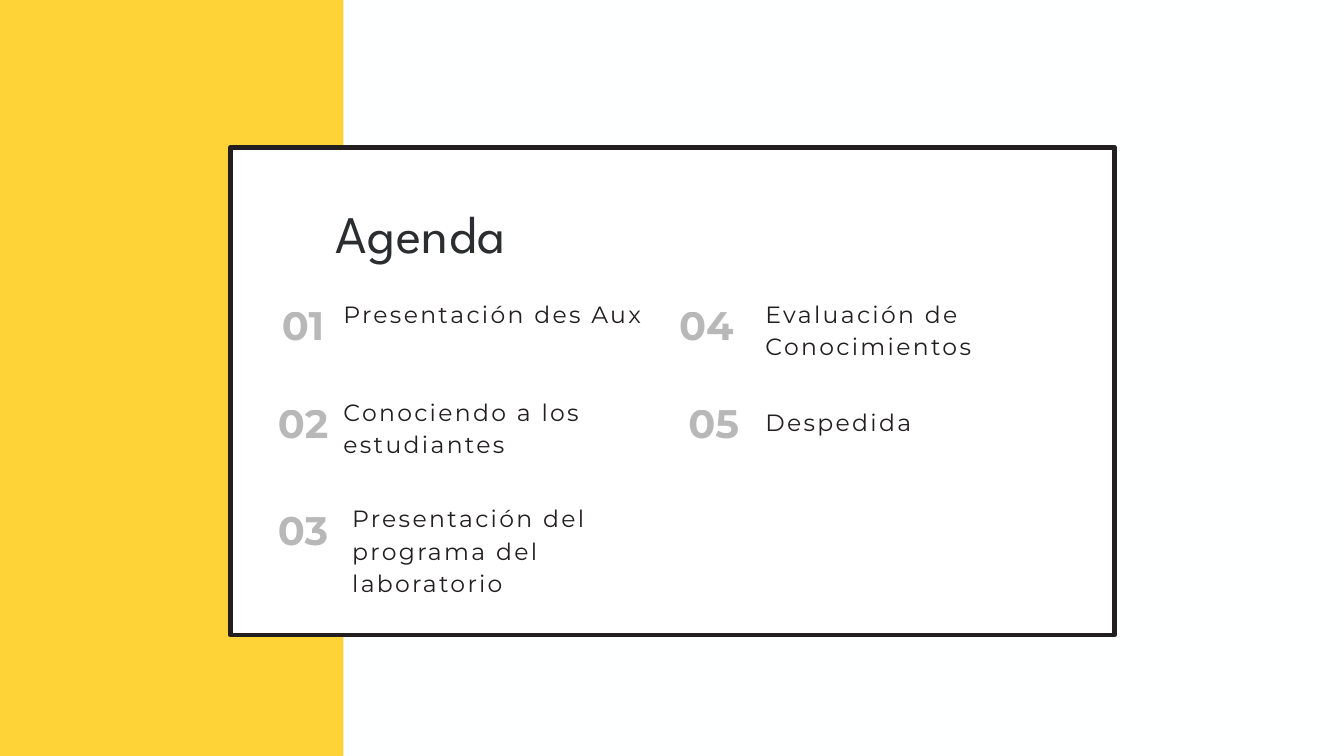
"""Build the agenda slide: yellow band, framed card and five numbered items."""
from dataclasses import dataclass
from typing import Optional

from lxml.etree import SubElement
from pptx import Presentation
from pptx.dml.color import RGBColor
from pptx.enum.shapes import MSO_SHAPE as SHAPE
from pptx.enum.text import MSO_AUTO_SIZE as AUTO, PP_ALIGN as ALIGN
from pptx.oxml.ns import qn
from pptx.util import Inches, Pt

BACKGROUND = RGBColor(0xFE, 0xFF, 0xFF)
YELLOW = RGBColor(0xFF, 0xCB, 0x13)
WHITE = RGBColor(0xFF, 0xFF, 0xFF)
INK = RGBColor(0x23, 0x1F, 0x20)
TITLE_INK = RGBColor(0x2C, 0x2D, 0x30)
BLACK = RGBColor(0, 0, 0)


@dataclass(frozen=True)
class Style:
    font: dict
    color: RGBColor
    leading: float
    align: ALIGN = ALIGN.LEFT
    spacing: float = 0
    opacity: Optional[int] = None


@dataclass(frozen=True)
class Item:
    number: str
    label: str
    left: float
    top: float
    label_left: float
    label_width: float
    lines: int
    label_drop: float = 0.04


TITLE = Style({"name": "League Spartan", "size": Pt(56.5)}, TITLE_INK, 78, spacing=0.8)
NUMBER = Style({"name": "Montserrat", "size": Pt(42.7), "bold": True}, BLACK, 59.8,
               align=ALIGN.CENTER, opacity=28)
LABEL = Style({"name": "Montserrat", "size": Pt(25.2)}, INK, 34.8, spacing=2.5)

ROWS = (4.36, 5.82, 7.4)
LINE_HEIGHT = 0.48
ITEMS = (
    Item("01", "Presentación des Aux", 4, ROWS[0], 5.11, 4.52, 1),
    Item("02", "Conociendo a los estudiantes", 4, ROWS[1], 5.11, 3.95, 2),
    Item("03", "Presentación del programa del laboratorio", 4, ROWS[2], 5.24, 4.39, 3),
    Item("04", "Evaluación de Conocimientos", 10, ROWS[0], 11.39, 3.95, 2),
    Item("05", "Despedida", 10.11, ROWS[1], 11.39, 5.21, 1, 0.19),
)


def set_opacity(fill, percent: int) -> None:
    """Make a solid fill partly transparent."""
    color = fill._xPr.find(qn("a:solidFill"))[0]
    SubElement(color, qn("a:alpha"), val=str(percent * 1000))


def add_box(s, left: float, top: float, width: float, height: float, color: RGBColor):
    """Add a plain filled rectangle without an outline."""
    sp = s.shapes.add_shape(SHAPE.RECTANGLE, Inches(left), Inches(top),
                            Inches(width), Inches(height))
    sp.shadow.inherit = False
    sp.fill.solid()
    sp.fill.fore_color.rgb = color
    sp.line.fill.background()
    return sp


def add_text(s, text: str, left: float, top: float, width: float, height: float,
             style: Style) -> None:
    """Add a wrapped text box with no insets in the given style."""
    tf = s.shapes.add_textbox(Inches(left), Inches(top),
                              Inches(width), Inches(height)).text_frame
    frame = {"word_wrap": True, "auto_size": AUTO.SHAPE_TO_FIT_TEXT, "margin_left": 0,
             "margin_top": 0, "margin_right": 0, "margin_bottom": 0}
    for name, value in frame.items():
        setattr(tf, name, value)
    p = tf.paragraphs[0]
    p.alignment = style.align
    p.line_spacing = Pt(style.leading)
    r = p.add_run()
    r.text = text
    for name, value in style.font.items():
        setattr(r.font, name, value)
    r.font.color.rgb = style.color
    if style.opacity is not None:
        set_opacity(r.font.fill, style.opacity)
    if style.spacing:
        r._r.get_or_add_rPr().set("spc", str(round(style.spacing * 100)))


def add_item(s, item: Item) -> None:
    """Add one agenda number with its label."""
    add_text(s, item.number, item.left, item.top, 1.02, 0.79, NUMBER)
    add_text(s, item.label, item.label_left, item.top + item.label_drop,
             item.label_width, item.lines * LINE_HEIGHT - 0.02, LABEL)


def main() -> None:
    """Build and save the slide."""
    prs = Presentation()
    prs.slide_width, prs.slide_height = Inches(20), Inches(11.25)
    s = prs.slides.add_slide(prs.slide_layouts[6])
    s.background.fill.solid()
    s.background.fill.fore_color.rgb = BACKGROUND

    band = add_box(s, 0, 0, 5.11, 11.25, YELLOW)
    set_opacity(band.fill, 84)
    card = add_box(s, 3.43, 2.19, 13.15, 7.26, WHITE)
    card.line.color.rgb = INK
    card.line.width = Pt(5.25)

    add_text(s, "Agenda", 4.99, 2.85, 6.95, 1.04, TITLE)
    for item in ITEMS:
        add_item(s, item)
    prs.save("out.pptx")


if __name__ == "__main__":
    main()
